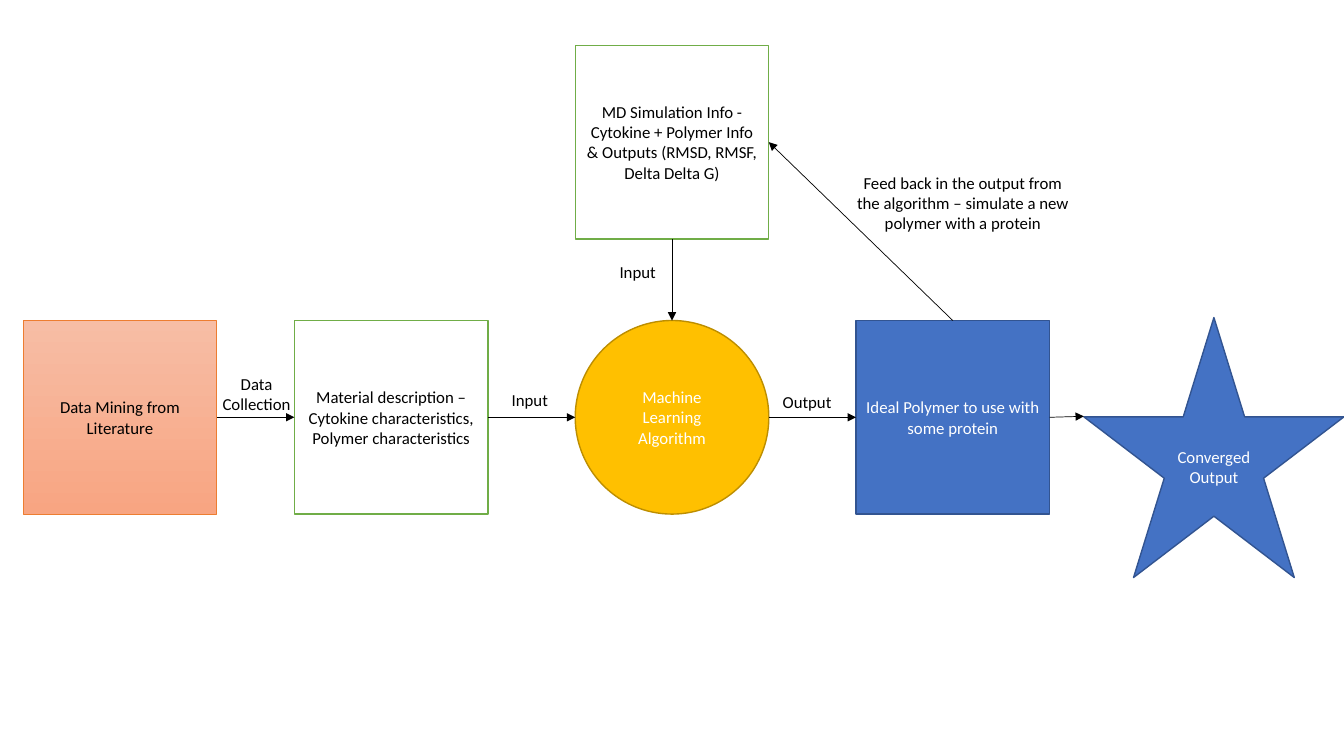
from lxml.etree import SubElement
from pptx import Presentation
from pptx.dml.color import RGBColor
from pptx.enum.shapes import MSO_CONNECTOR, MSO_SHAPE
from pptx.enum.text import MSO_ANCHOR, PP_ALIGN
from pptx.oxml.ns import qn
from pptx.util import Inches, Pt

BLACK = RGBColor(0x00, 0x00, 0x00)
WHITE = RGBColor(0xFF, 0xFF, 0xFF)
GREEN = RGBColor(0x70, 0xAD, 0x47)
GOLD = RGBColor(0xFF, 0xC0, 0x00)
DARK_GOLD = RGBColor(0xBD, 0x8E, 0x00)
BLUE = RGBColor(0x44, 0x72, 0xC4)
DARK_BLUE = RGBColor(0x32, 0x54, 0x91)
ORANGE = RGBColor(0xED, 0x7D, 0x31)
PEACH = RGBColor(0xF7, 0xBD, 0xA5)
SALMON = RGBColor(0xF8, 0xA5, 0x82)

SLIDE_W, SLIDE_H = 13.33, 7.5
BOX, STAR = 1.92, 2.58
FLOW_TOP, SIMULATION_TOP, STAR_TOP = 3.18, 0.45, 3.15
MIDDLE = (SLIDE_W - BOX) / 2
STAR_ARM = 0.38

STEPS = {
    "mining": (MSO_SHAPE.RECTANGLE, 0.23, FLOW_TOP, BOX, (PEACH, SALMON), ORANGE, 0.5, BLACK,
               ["Data Mining from Literature"]),
    "material": (MSO_SHAPE.RECTANGLE, 2.92, FLOW_TOP, BOX, (WHITE,), GREEN, 1, BLACK,
                 ["Material description –", "Cytokine characteristics, Polymer characteristics"]),
    "simulation": (MSO_SHAPE.RECTANGLE, MIDDLE, SIMULATION_TOP, BOX, (WHITE,), GREEN, 1, BLACK,
                   ["MD Simulation Info -",
                    "Cytokine + Polymer Info & Outputs (RMSD, RMSF, Delta Delta G)"]),
    "learning": (MSO_SHAPE.OVAL, MIDDLE, FLOW_TOP, BOX, (GOLD,), DARK_GOLD, 1, WHITE,
                 ["Machine Learning Algorithm"]),
    "polymer": (MSO_SHAPE.RECTANGLE, 8.49, FLOW_TOP, BOX, (BLUE,), DARK_BLUE, 1, WHITE,
                ["Ideal Polymer to use with some protein"]),
    "converged": (MSO_SHAPE.STAR_5_POINT, SLIDE_W - STAR, STAR_TOP, STAR, (BLUE,), DARK_BLUE, 1,
                  WHITE, ["Converged Output"]),
}

ARROWS = [
    ("mining", "right", "material", "left"),
    ("material", "right", "learning", "left"),
    ("simulation", "bottom", "learning", "top"),
    ("learning", "right", "polymer", "left"),
    ("polymer", "top", "simulation", "right"),
    ("polymer", "right", "converged", "left"),
]

LABELS = [
    ("Feed back in the output from the algorithm – simulate a new polymer with a protein",
     8.34, 1.66, 2.42, 0.71),
    ("Input", 5.79, 2.55, 1.07, 0.3),
    ("Input", 4.72, 3.82, 1.07, 0.3),
    ("Output", 7.47, 3.84, 1.07, 0.3),
    ("Data Collection", 2.01, 3.66, 1.07, 0.5),
]

SITES = {
    MSO_SHAPE.RECTANGLE: {"top": 0, "left": 1, "bottom": 2, "right": 3},
    MSO_SHAPE.OVAL: {"top": 0, "left": 2, "bottom": 4, "right": 6},
    MSO_SHAPE.STAR_5_POINT: {"top": 0, "left": 1, "right": 4},
}


def write(frame, lines, color):
    frame.word_wrap = True
    frame.text = "\n".join(lines)
    for paragraph in frame.paragraphs:
        paragraph.alignment = PP_ALIGN.CENTER
        paragraph.font.size = Pt(12)
        paragraph.font.name = "Calibri"
        paragraph.font.color.rgb = color


def add_step(slide, kind, left, top, size, fills, outline, weight, ink, lines):
    step = slide.shapes.add_shape(kind, Inches(left), Inches(top), Inches(size), Inches(size))
    step.shadow.inherit = False
    if len(fills) > 1:
        step.fill.gradient()
        step.fill.gradient_angle = 270
        for stop, color in zip(step.fill.gradient_stops, fills):
            stop.color.rgb = color
    else:
        step.fill.solid()
        step.fill.fore_color.rgb = fills[0]
    step.line.color.rgb = outline
    step.line.width = Pt(weight)
    step.text_frame.vertical_anchor = MSO_ANCHOR.MIDDLE
    write(step.text_frame, lines, ink)
    return step


def edge_point(name, side):
    kind, left, top, size = STEPS[name][:4]
    arm = STAR_ARM if kind == MSO_SHAPE.STAR_5_POINT else 0.5
    across, down = {"top": (0.5, 0), "bottom": (0.5, 1), "left": (0, arm), "right": (1, arm)}[side]
    return Inches(left + across * size), Inches(top + down * size)


def add_arrow(slide, steps, source, exit_side, target, entry_side):
    arrow = slide.shapes.add_connector(
        MSO_CONNECTOR.STRAIGHT, *edge_point(source, exit_side), *edge_point(target, entry_side))
    joints = arrow._element.nvCxnSpPr.cNvCxnSpPr
    for tag, name, side in (("a:stCxn", source, exit_side), ("a:endCxn", target, entry_side)):
        site = SITES[STEPS[name][0]][side]
        SubElement(joints, qn(tag), id=str(steps[name].shape_id), idx=str(site))
    arrow.line.color.rgb = BLACK
    arrow.line.width = Pt(0.5)
    SubElement(arrow.line._get_or_add_ln(), qn("a:tailEnd"), type="triangle")
    SubElement(arrow._element.spPr, qn("a:effectLst"))


def main():
    deck = Presentation()
    deck.slide_width, deck.slide_height = Inches(SLIDE_W), Inches(SLIDE_H)
    slide = deck.slides.add_slide(deck.slide_layouts[6])
    steps = {name: add_step(slide, *step) for name, step in STEPS.items()}
    for arrow in ARROWS:
        add_arrow(slide, steps, *arrow)
    for words, *place in LABELS:
        label = slide.shapes.add_textbox(*map(Inches, place))
        write(label.text_frame, [words], BLACK)
    deck.save("out.pptx")


if __name__ == "__main__":
    main()
